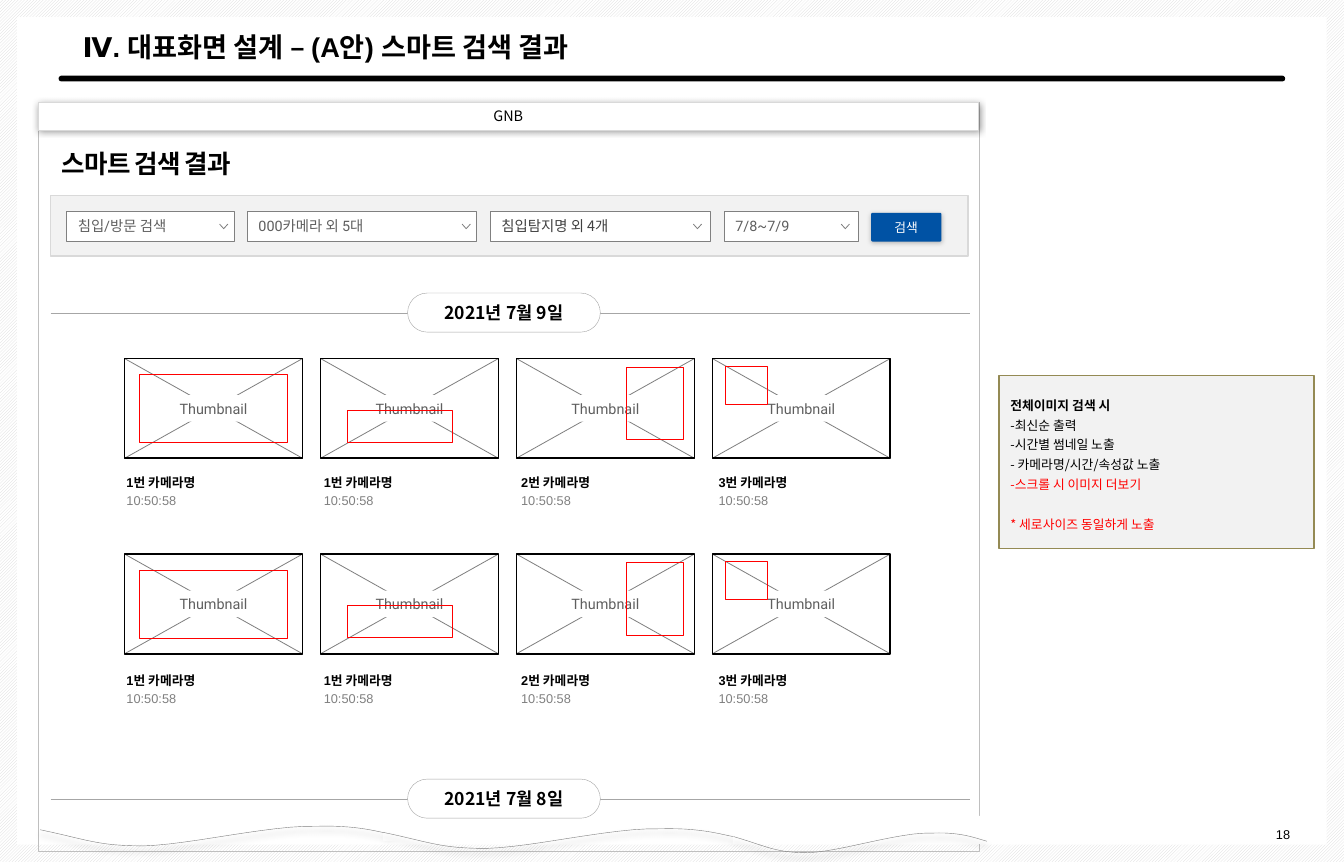
from lxml import etree
from pptx import Presentation
from pptx.dml.color import RGBColor
from pptx.enum.dml import MSO_PATTERN
from pptx.enum.shapes import MSO_CONNECTOR, MSO_SHAPE
from pptx.enum.text import MSO_ANCHOR, PP_ALIGN
from pptx.oxml.ns import qn
from pptx.util import Pt

RECT, ROUND = MSO_SHAPE.RECTANGLE, MSO_SHAPE.ROUNDED_RECTANGLE
STRAIGHT = MSO_CONNECTOR.STRAIGHT
DIAGONAL = MSO_PATTERN.LIGHT_UPWARD_DIAGONAL
TOP, MIDDLE = MSO_ANCHOR.TOP, MSO_ANCHOR.MIDDLE
LEFT, CENTER, RIGHT = PP_ALIGN.LEFT, PP_ALIGN.CENTER, PP_ALIGN.RIGHT
KOREAN = "Noto Sans CJK KR"
WHITE, BLACK, RED = "FFFFFF", "000000", "FF0000"
GRAY, PALE, TEXT_GRAY = "808080", "F2F2F2", "5F5F5F"
INSETS = (7.2, 3.6, 7.2, 3.6)


def rgb(color):
    return RGBColor.from_string(color)


def bezier(start, curves):
    points = [start]
    for a, b, end in curves:
        origin = points[-1]
        for i in range(1, 13):
            t = i / 12
            weights = ((1 - t) ** 3, 3 * t * (1 - t) ** 2, 3 * t * t * (1 - t), t ** 3)
            points.append(tuple(sum(w * q[k] for w, q in zip(weights, (origin, a, b, end)))
                                for k in (0, 1)))
    return points


class Screen:
    def __init__(self, slide):
        self.s = slide

    def paint(self, sp, fill=None, line=None, width=0.5, shadow=None):
        if fill:
            sp.fill.solid()
            sp.fill.fore_color.rgb = rgb(fill)
        else:
            sp.fill.background()
        if line:
            sp.line.color.rgb = rgb(line)
            sp.line.width = Pt(width)
        else:
            sp.line.fill.background()
        sp.shadow.inherit = False
        if shadow:
            alpha, blur, dist = shadow
            effects = sp.element.spPr.find(qn("a:effectLst"))
            outer = etree.SubElement(effects, qn("a:outerShdw"), blurRad=str(Pt(blur)),
                                     dist=str(Pt(dist)), dir="5400000", rotWithShape="0")
            color = etree.SubElement(outer, qn("a:srgbClr"), val=BLACK)
            etree.SubElement(color, qn("a:alpha"), val=str(alpha * 1000))
        return sp

    def box(self, x, y, w, h, fill=None, line=None, width=0.5, shadow=None, radius=None):
        kind = RECT if radius is None else ROUND
        sp = self.s.shapes.add_shape(kind, Pt(x), Pt(y), Pt(w), Pt(h))
        if radius is not None:
            sp.adjustments[0] = radius
        return self.paint(sp, fill, line, width, shadow)

    def put_text(self, sp, text, size, font=KOREAN, color=BLACK, bold=False, align=LEFT,
                 anchor=MIDDLE, insets=INSETS, wrap=True, spacing=None, track=None):
        tf = sp.text_frame
        left, top, right, bottom = map(Pt, insets)
        for name, value in dict(margin_left=left, margin_top=top, margin_right=right,
                                margin_bottom=bottom, word_wrap=wrap,
                                vertical_anchor=anchor).items():
            setattr(tf, name, value)
        lines = [(text, {})] if isinstance(text, str) else text
        for i, (words, change) in enumerate(lines):
            style = dict(color=color, bold=bold, before=0) | change
            p = tf.paragraphs[0] if i == 0 else tf.add_paragraph()
            for name, value in dict(alignment=align, line_spacing=spacing,
                                    space_before=Pt(style["before"])).items():
                setattr(p, name, value)
            r = p.add_run()
            r.text = words
            for name, value in dict(size=Pt(size), name=font, bold=style["bold"]).items():
                setattr(r.font, name, value)
            r.font.color.rgb = rgb(style["color"])
            props = r._r.get_or_add_rPr()
            etree.SubElement(props, qn("a:ea"), typeface=KOREAN)
            if track:
                props.set("spc", str(track))

    def label(self, x, y, w, h, text, size, **style):
        sp = self.s.shapes.add_textbox(Pt(x), Pt(y), Pt(w), Pt(h))
        self.put_text(sp, text, size, **style)

    def title(self, x, y, w, h, text, size, **style):
        sp = self.s.shapes.title
        sp.element.getparent().append(sp.element)
        sp.left, sp.top, sp.width, sp.height = map(Pt, (x, y, w, h))
        self.put_text(sp, text, size, **style)

    def line(self, x1, y1, x2, y2, color, width):
        c = self.s.shapes.add_connector(STRAIGHT, Pt(x1), Pt(y1), Pt(x2), Pt(y2))
        c.line.color.rgb = rgb(color)
        c.line.width = Pt(width)
        etree.SubElement(c.element.spPr, qn("a:effectLst"))

    def outline(self, points, **style):
        points = [(Pt(x), Pt(y)) for x, y in points]
        builder = self.s.shapes.build_freeform(*points[0])
        builder.add_line_segments(points[1:], close=False)
        self.paint(builder.convert_to_shape(), **style)

    def dropdown(self, x, w, arrow, text, font=KOREAN, color=TEXT_GRAY):
        sp = self.box(x, 132.2, w, 19, WHITE, GRAY)
        self.put_text(sp, text, 9, font=font, color=color, insets=(7.2, 4.3, 20, 4.3))
        self.outline([(arrow, 140.4), (arrow + 2.6, 143.3), (arrow + 5.2, 140.4)],
                     fill=WHITE, line=GRAY)

    def date(self, y, text):
        self.line(31.7, y, 607.7, y, "A6A6A6", 0.75)
        sp = self.box(255.3, y - 12.7, 120.7, 24.5, WHITE, "A6A6A6", 0.25, radius=0.5)
        self.put_text(sp, text, 11, bold=True, align=CENTER, insets=(0, 0, 0, 0))

    def thumbnail(self, x, y, detected):
        w, h = 111.5, 62.5
        self.box(x, y, w, h, WHITE, GRAY)
        self.line(x, y + h, x + w, y, GRAY, 0.5)
        self.line(x + w, y + h, x, y, GRAY, 0.5)
        sp = self.box(x + 28.7, y + 23, 54, 16.6, WHITE)
        self.put_text(sp, "Thumbnail", 9, font="Roboto", color=TEXT_GRAY, align=CENTER,
                      insets=(5.8, 2.9, 5.8, 2.9), wrap=False)
        self.box(x, y, w, h, line=BLACK, width=1)
        dx, dy, dw, dh = detected
        self.box(x + dx, y + dy, dw, dh, line=RED)

    def caption(self, x, y, camera):
        for dy, text, color, bold in ((0, camera, BLACK, True), (11.1, "10:50:58", GRAY, False)):
            self.label(x, y + dy, 69.1, 15.8, text, 8, font="Arial", color=color,
                       bold=bold, insets=(2.9, 0, 0, 0))

    def wave(self, x, dy, scale, mask_y, mask_h):
        self.box(x, mask_y, 220.3 * scale, mask_h, WHITE, WHITE, 0.25)

        def at(px, py):
            return x + px * scale, 519.8 + dy + py

        curves = [[at(31, 6.5), at(36, 10.1), at(64.8, 10.1)],
                  [at(93.6, 9.4), at(143.3, -2.9), at(172.8, -2.2)],
                  [at(197.3, -2.9), at(209.5, 0.7), at(220.3, 2.9)]]
        self.outline(bezier(at(0, 0), curves), line=GRAY, width=0.25, shadow=(60, 4, 3))


def main():
    prs = Presentation()
    prs.slide_width, prs.slide_height = Pt(841.68), Pt(540)
    screen = Screen(prs.slides.add_slide(prs.slide_layouts[5]))

    backdrop = screen.box(0, 0, 841.68, 540)
    backdrop.fill.patterned()
    backdrop.fill.pattern = DIAGONAL
    backdrop.fill.fore_color.rgb = rgb("D9D9D9")
    backdrop.fill.back_color.rgb = rgb(WHITE)
    screen.box(10.8, 10.8, 820, 518.4, WHITE)
    screen.label(779.8, 514.1, 35.3, 17.3, "18", 8, font="Arial", align=RIGHT,
                 anchor=TOP, wrap=False)
    screen.box(36.7, 47.4, 768.2, 3.6, BLACK, radius=0.5)
    screen.box(31.7, 122.4, 574.6, 38.2, PALE, "D9D9D9", 1)
    screen.box(24.2, 64.1, 589, 469.4, line="BFBFBF", width=0.25)
    screen.title(44.6, 15.1, 751.7, 28.1, "Ⅳ. 대표화면 설계 – (A안) 스마트 검색 결과", 17,
                 font="Arial", bold=True)
    screen.label(31.7, 89.3, 295.2, 26.6, "스마트 검색 결과", 16, bold=True,
                 anchor=TOP, track=-50)

    for wave in ((25.2, 0, 1, 512.6, 11.5), (239.8, 1.6, 1, 511.9, 14.4),
                 (459.4, 4.3, 0.72, 511.2, 17.3)):
        screen.wave(*wave)

    gnb = screen.box(23.8, 64.1, 589, 17.3, WHITE, "D9D9D9", 0.25, shadow=(40, 4, 1))
    screen.put_text(gnb, "GNB", 9, align=CENTER)

    screen.dropdown(41.6, 105.3, 137.5, "침입/방문 검색", font="Roboto")
    screen.dropdown(154.8, 143.5, 289.4, "000카메라 외 5대", font="Roboto")
    screen.dropdown(306.9, 138.2, 434.2, "침입탐지명 외 4개", color="404040")
    screen.dropdown(453.5, 84.2, 526.8, "7/8~7/9", font="Roboto")
    search = screen.box(545.6, 133.3, 44, 18, "0052A4", shadow=(25, 3, 1), radius=0.05)
    screen.put_text(search, "검색", 8, font="Roboto", color=WHITE, align=CENTER,
                    insets=(5.8, 3.6, 5.8, 3.6))

    notes = screen.box(625.7, 235.4, 197.3, 108.4, PALE, "948A54", 0.75)
    screen.put_text(notes, [("전체이미지 검색 시", {"bold": True}),
                            ("-최신순 출력", {}),
                            ("-시간별 썸네일 노출", {}),
                            ("- 카메라명/시간/속성값 노출", {}),
                            ("-스크롤 시 이미지 더보기", {"color": RED}),
                            ("* 세로사이즈 동일하게 노출", {"color": RED, "before": 12.3})],
                    8, spacing=1.3)

    screen.date(196.3, "2021년 7월 9일")
    screen.date(500.8, "2021년 7월 8일")

    cameras = (("1번 카메라명", (9.6, 10, 92.6, 42.6)),
               ("1번 카메라명", (16.8, 32.2, 65.8, 20.2)),
               ("2번 카메라명", (69.2, 5.5, 35.3, 45.2)),
               ("3번 카메라명", (8.2, 4.8, 26.3, 23.8)))
    for row in range(2):
        for col, (camera, detected) in enumerate(cameras):
            screen.thumbnail(78 + 122.7 * col, 224.6 + 122.5 * row, detected)
            screen.caption(76.3 + 123.6 * col, 294.3 + 124.1 * row, camera)

    prs.save("out.pptx")


if __name__ == "__main__":
    main()
